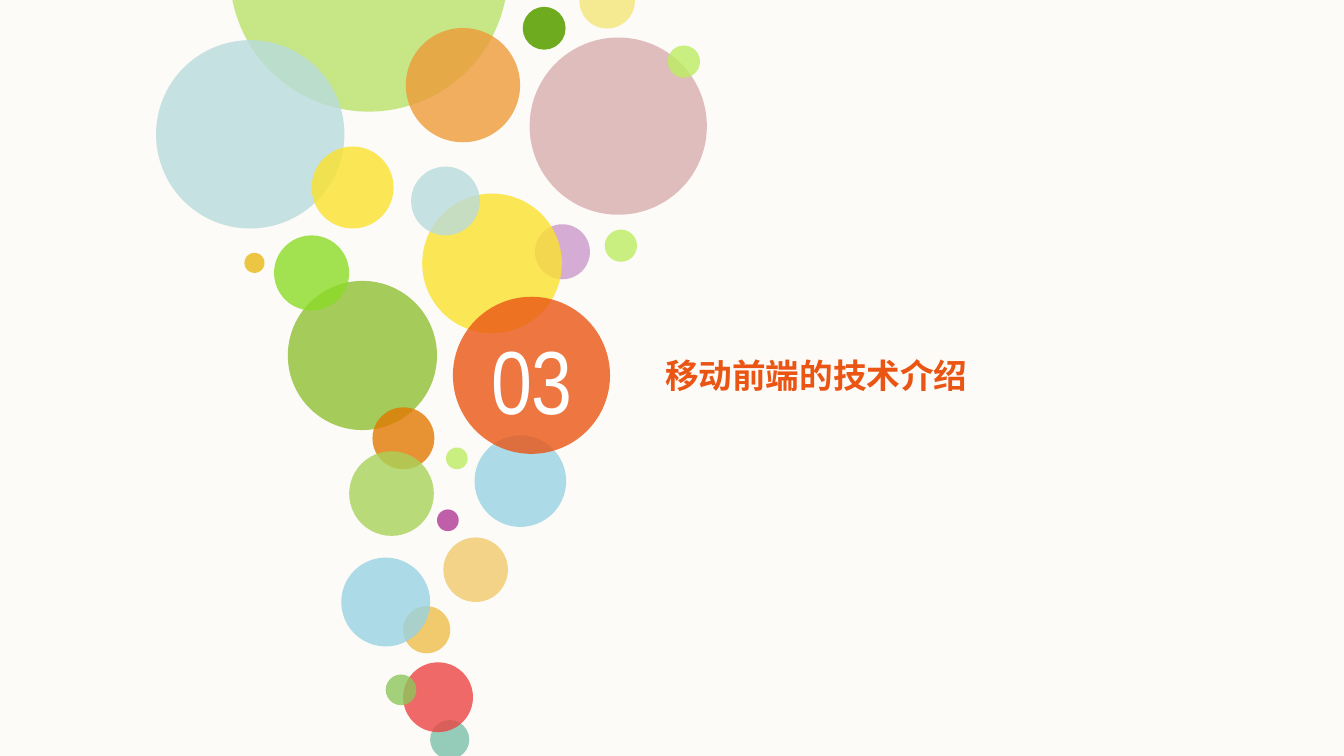
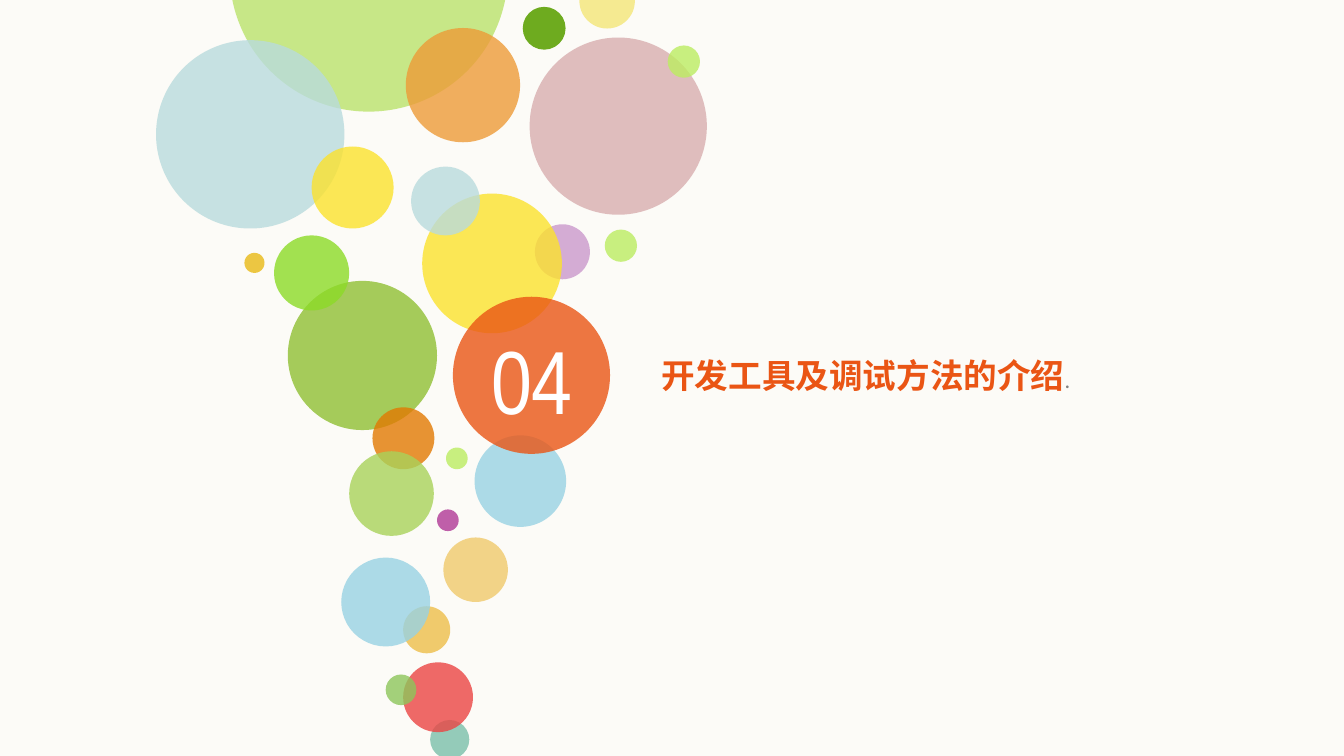
from lxml import etree
from pptx import Presentation
from pptx import util as u
from pptx.dml.color import RGBColor
from pptx.enum import shapes, text
from pptx.oxml import ns

CREAM = RGBColor(0xFC, 0xFB, 0xF7)
WHITE = RGBColor(0xFF, 0xFF, 0xFF)
GREY = RGBColor(0x80, 0x80, 0x80)
ORANGE = RGBColor(0xEA, 0x55, 0x14)
APRICOT = RGBColor(0xED, 0x9B, 0x38)
AMBER = RGBColor(0xE2, 0x79, 0x02)
GOLD = RGBColor(0xE9, 0xB9, 0x15)
SAND = RGBColor(0xF0, 0xCA, 0x6C)
YELLOW = RGBColor(0xFB, 0xE2, 0x2D)
LEMON = RGBColor(0xF5, 0xEA, 0x91)
PALE_LIME = RGBColor(0xBA, 0xE3, 0x6B)
LIME = RGBColor(0xBC, 0xED, 0x61)
BRIGHT_GREEN = RGBColor(0x8C, 0xDB, 0x27)
DARK_GREEN = RGBColor(0x6E, 0xAB, 0x1F)
OLIVE = RGBColor(0xA5, 0xCB, 0x5A)
MEADOW = RGBColor(0xA9, 0xD2, 0x5A)
LEAF = RGBColor(0x8D, 0xC6, 0x5B)
TEAL = RGBColor(0x7B, 0xBF, 0xAA)
MIST = RGBColor(0xB9, 0xDB, 0xDD)
SKY = RGBColor(0x98, 0xD2, 0xE3)
ROSE = RGBColor(0xD8, 0xAE, 0xAF)
LILAC = RGBColor(0xCB, 0x99, 0xCC)
MAGENTA = RGBColor(0xB0, 0x38, 0x96)
RED = RGBColor(0xEB, 0x45, 0x44)

HEADING_FONT = "Arial Narrow"
BODY_FONT = "Calibri"
COLUMN_LEFT, COLUMN_TOP = 2.95, 0

# Each bubble: left and top inside the column, diameter, colour, opacity in percent.
BUBBLES = [
    (1.39, -3.15, 5.26, PALE_LIME, 80),
    (6.93, 0.13, 0.81, DARK_GREEN, 100),
    (0, 0.76, 3.56, MIST, 80),
    (4.72, 0.53, 2.16, APRICOT, 80),
    (8, -0.51, 1.05, LEMON, 100),
    (7.06, 0.71, 3.35, ROSE, 80),
    (2.49, 5.31, 2.82, OLIVE, 100),
    (9.67, 0.86, 0.61, LIME, 80),
    (8.48, 4.34, 0.61, LIME, 80),
    (7.16, 4.24, 1.04, LILAC, 80),
    (5.03, 3.66, 2.64, YELLOW, 80),
    (2.94, 2.77, 1.55, YELLOW, 80),
    (2.23, 4.45, 1.42, BRIGHT_GREEN, 80),
    (1.67, 4.78, 0.38, GOLD, 80),
    (5.48, 8.46, 0.41, LIME, 80),
    (5.31, 9.63, 0.41, MAGENTA, 80),
    (5.43, 10.16, 1.22, SAND, 80),
    (4.67, 11.46, 0.89, SAND, 100),
    (5.18, 13.61, 0.74, TEAL, 80),
    (4.67, 12.52, 1.32, RED, 80),
    (4.34, 12.75, 0.58, LEAF, 80),
    (3.5, 10.54, 1.68, SKY, 80),
    (4.82, 3.15, 1.3, MIST, 80),
    (6.02, 8.23, 1.73, SKY, 80),
    (4.09, 7.7, 1.17, AMBER, 80),
    (3.65, 8.53, 1.6, MEADOW, 80),
    (5.61, 5.61, 2.97, ORANGE, 80),
]

SECTIONS = [
    ("03", 12.57, "移动前端的技术介绍", ""),
    ("04", 12.5, "开发工具及调试方法的介绍", "."),
]


def add_bubble(slide, left, top, diameter, color, opacity):
    """Draw one borderless circle with the given opacity."""
    bubble = slide.shapes.add_shape(
        shapes.MSO_SHAPE.OVAL, u.Cm(left), u.Cm(top), u.Cm(diameter), u.Cm(diameter))
    bubble.shadow.inherit = False
    bubble.line.fill.background()
    bubble.fill.solid()
    bubble.fill.fore_color.rgb = color
    if opacity < 100:
        tint = bubble.element.spPr.find(".//" + ns.qn("a:srgbClr"))
        etree.SubElement(tint, ns.qn("a:alpha"), val=str(opacity * 1000))


def add_bubble_column(slide, left, top):
    """Draw all the bubbles relative to the column's corner."""
    for x, y, diameter, color, opacity in BUBBLES:
        add_bubble(slide, left + x, top + y, diameter, color, opacity)


def add_label(slide, left, top, width, height):
    """Add a wrapping text box without margins and return its paragraph."""
    frame = slide.shapes.add_textbox(
        u.Cm(left), u.Cm(top), u.Cm(width), u.Cm(height)).text_frame
    frame.margin_left = frame.margin_top = frame.margin_right = frame.margin_bottom = 0
    frame.word_wrap = True
    frame.auto_size = text.MSO_AUTO_SIZE.SHAPE_TO_FIT_TEXT
    return frame.paragraphs[0]


def add_words(paragraph, words, font_name, size, color, bold=False):
    """Append one formatted run to a paragraph."""
    run = paragraph.add_run()
    run.text = words
    run.font.name = font_name
    run.font.size = u.Pt(size)
    run.font.color.rgb = color
    run.font.bold = bold


def add_section_slide(prs, number, title_left, title, ending):
    """Build a section divider with bubbles, number and title."""
    slide = prs.slides.add_slide(prs.slide_layouts[6])
    slide.background.fill.solid()
    slide.background.fill.fore_color.rgb = CREAM
    add_bubble_column(slide, COLUMN_LEFT, COLUMN_TOP)
    number_line = add_label(slide, COLUMN_LEFT + 6.09, COLUMN_TOP + 6.15, 2.03, 2.06)
    number_line.alignment = text.PP_ALIGN.CENTER
    add_words(number_line, number, HEADING_FONT, 48, WHITE)
    title_line = add_label(slide, title_left, 6.71, 7.72, 0.76)
    add_words(title_line, title, HEADING_FONT, 18, ORANGE, bold=True)
    if ending:
        add_words(title_line, ending, BODY_FONT, 12, GREY)


def main():
    """Build the deck and save it."""
    prs = Presentation()
    prs.slide_width, prs.slide_height = u.Cm(25.4), u.Cm(14.29)
    for section in SECTIONS:
        add_section_slide(prs, *section)
    prs.save("out.pptx")


if __name__ == "__main__":
    main()
